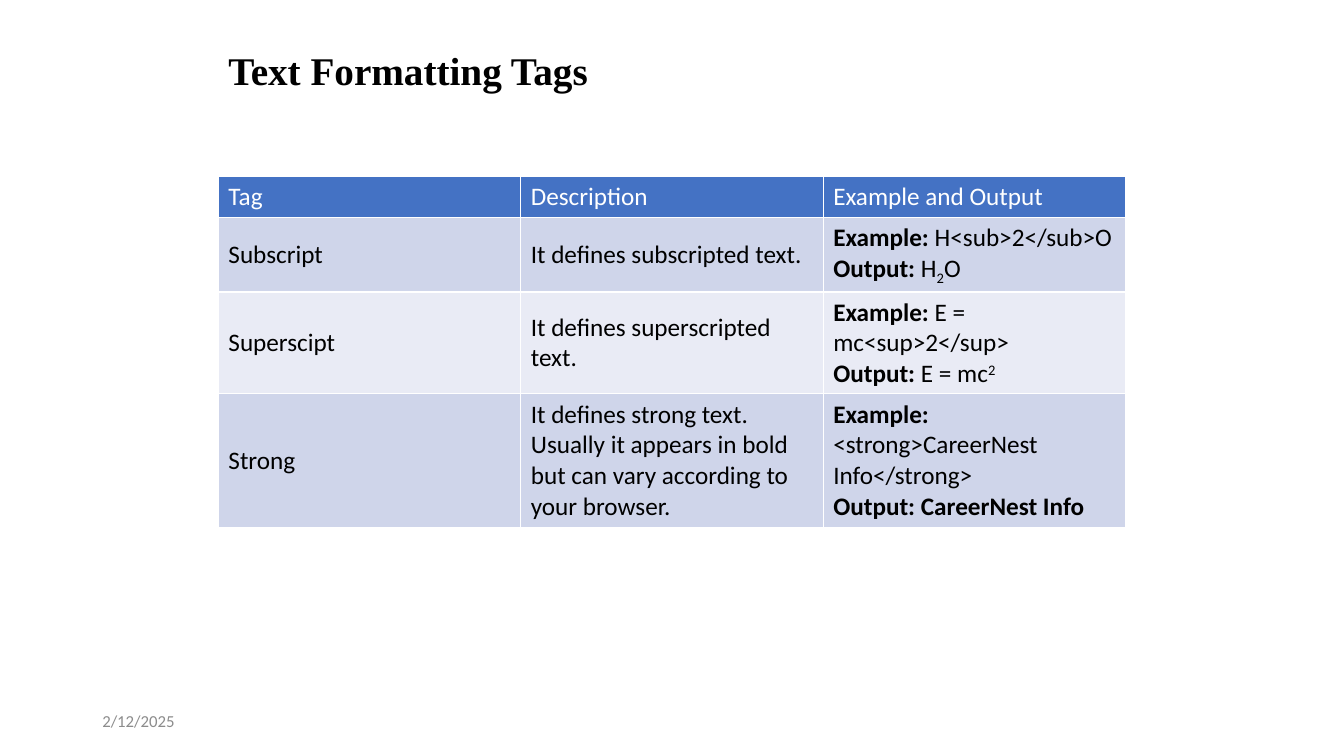
from dataclasses import dataclass

from lxml.etree import SubElement
from pptx import Presentation
from pptx.dml.color import RGBColor
from pptx.enum.text import MSO_ANCHOR
from pptx.oxml.ns import qn
from pptx.util import Pt

SCALE = 9525


@dataclass(frozen=True)
class Theme:
    white: str = "FFFFFF"
    black: str = "000000"
    gray: str = "8C8C8C"
    head: str = "4472C4"
    bands: tuple[str, str] = ("CFD5EA", "E9EBF5")
    sans: str = "Calibri"
    serif: str = "Times New Roman"
    title: int = 28
    body: int = 18
    date: int = 12
    rule: int = 1


@dataclass(frozen=True)
class Part:
    text: str
    bold: bool = False
    base: int = 0


@dataclass(frozen=True)
class Style:
    face: str
    size: int
    color: str
    bold: bool = False


@dataclass(frozen=True)
class Label:
    text: str
    box: tuple[int, int, int, int]
    style: Style


@dataclass(frozen=True)
class Row:
    height: int
    tag: str
    about: str
    lines: list[list[Part]]


THEME = Theme()
LABELS = [
    Label("Text Formatting Tags", (208, 29, 864, 75),
          Style(THEME.serif, THEME.title, THEME.black, True)),
    Label("2/12/2025", (88, 667, 288, 38),
          Style(THEME.sans, THEME.date, THEME.gray)),
]
ROWS = [
    Row(39, "Tag", "Description", [[Part("Example and Output")]]),
    Row(71, "Subscript", "It defines subscripted text.", [
        [Part("Example:", True), Part(" H<sub>2</sub>O")],
        [Part("Output:", True), Part(" H"), Part("2", base=-25), Part("O")],
    ]),
    Row(97, "Superscipt", "It defines superscripted text.", [
        [Part("Example:", True), Part(" E = mc<sup>2</sup>")],
        [Part("Output:", True), Part(" E = mc"), Part("2", base=30)],
    ]),
    Row(127, "Strong",
        "It defines strong text. Usually it appears in bold but can vary "
        "according to your browser.", [
            [Part("Example:", True), Part(" <strong>CareerNest Info</strong>")],
            [Part("Output: CareerNest Info", True)],
        ]),
]


def px(value: int) -> int:
    return value * SCALE


def write(frame, lines: list[list[Part]], style: Style) -> None:
    para = frame.paragraphs[0]
    font = para.font
    font.name, font.size = style.face, Pt(style.size)
    font.color.rgb = RGBColor.from_string(style.color)
    parts = [part for line in lines for part in line]
    mixed = len({part.bold for part in parts}) > 1
    if not mixed:
        font.bold = style.bold or parts[0].bold
    for index, line in enumerate(lines):
        if index:
            para.add_line_break()
        for part in line:
            run = para.add_run()
            run.text = part.text
            if mixed:
                run.font.bold = part.bold
            if part.base:
                run.font._element.set("baseline", str(part.base * 1000))


def add_label(slide, label: Label) -> None:
    frame = slide.shapes.add_textbox(*map(px, label.box)).text_frame
    frame.word_wrap = True
    frame.vertical_anchor = MSO_ANCHOR.MIDDLE
    write(frame, [[Part(label.text)]], label.style)


def paint(cell, fill: str) -> None:
    props = cell._tc.get_or_add_tcPr()
    for side in ("lnL", "lnR", "lnT", "lnB"):
        line = SubElement(props, qn(f"a:{side}"), w=str(Pt(THEME.rule)))
        solid = SubElement(line, qn("a:solidFill"))
        SubElement(solid, qn("a:srgbClr"), val=THEME.white)
    cell.fill.solid()
    cell.fill.fore_color.rgb = RGBColor.from_string(fill)
    cell.vertical_anchor = MSO_ANCHOR.MIDDLE


def add_tags(slide, rows: list[Row]) -> None:
    tall = sum(row.height for row in rows)
    box = map(px, (208, 168, 864, tall))
    table = slide.shapes.add_table(len(rows), 3, *box).table
    for index, row in enumerate(rows):
        table.rows[index].height = px(row.height)
        fill = THEME.bands[(index - 1) % 2] if index else THEME.head
        color = THEME.black if index else THEME.white
        style = Style(THEME.sans, THEME.body, color)
        texts = [[[Part(row.tag)]], [[Part(row.about)]], row.lines]
        for cell, lines in zip(table.rows[index].cells, texts):
            paint(cell, fill)
            write(cell.text_frame, lines, style)


def main() -> None:
    deck = Presentation()
    deck.slide_width, deck.slide_height = px(1280), px(720)
    slide = deck.slides.add_slide(deck.slide_layouts[6])
    for label in LABELS:
        add_label(slide, label)
    add_tags(slide, ROWS)
    deck.save("out.pptx")


if __name__ == "__main__":
    main()
